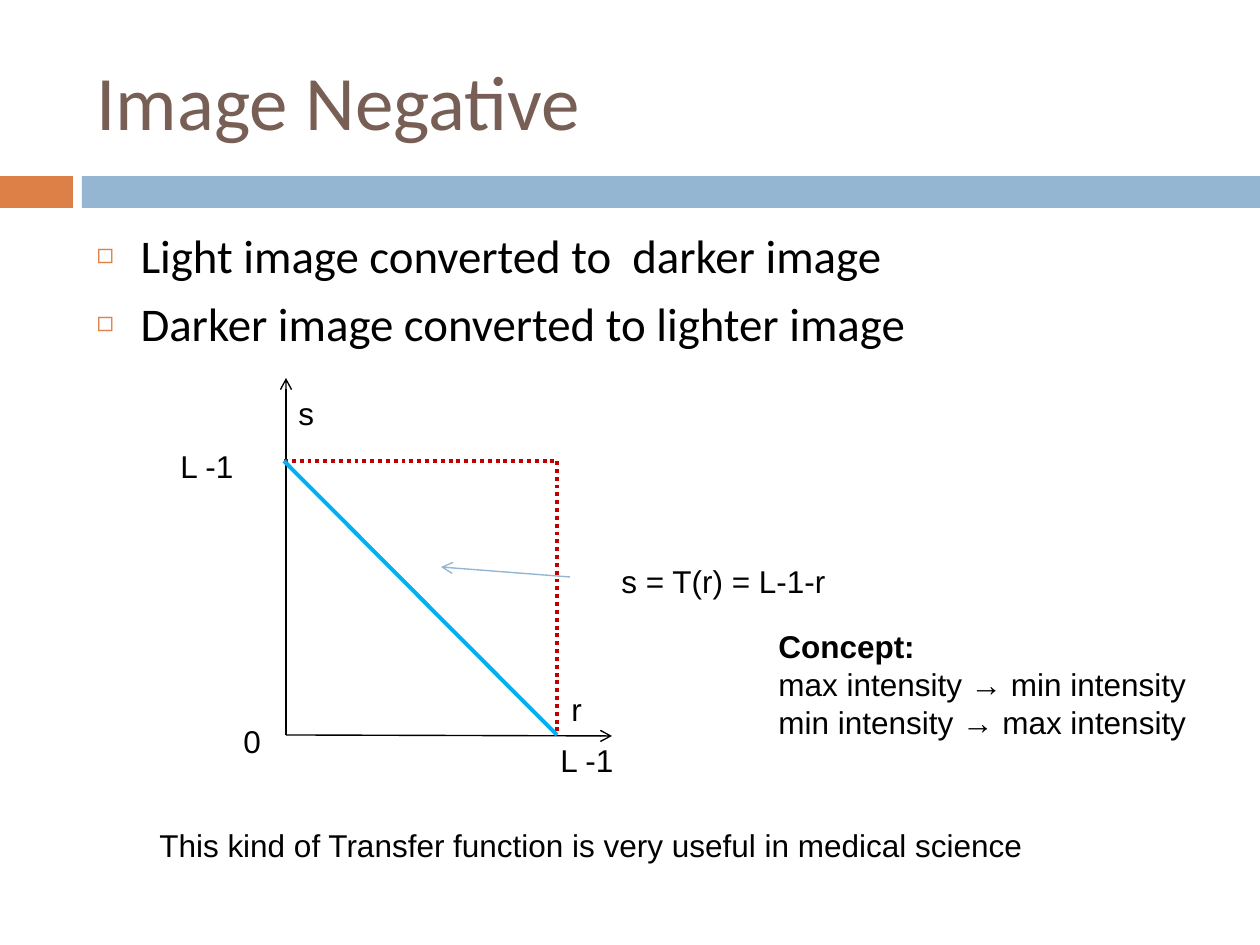
from lxml.etree import SubElement
from pptx import Presentation
from pptx.dml.color import RGBColor
from pptx.enum.dml import MSO_LINE_DASH_STYLE as DASH
from pptx.enum.shapes import MSO_CONNECTOR, MSO_SHAPE
from pptx.enum.text import MSO_ANCHOR, MSO_AUTO_SIZE, PP_ALIGN
from pptx.oxml.ns import qn
from pptx.util import Emu, Inches, Pt

SCALE = Inches(10) / 1260
BLACK, BLUE, ORANGE = "000000", "94B6D2", "DD8047"
RED, CYAN, BROWN = "C00000", "00B0F0", "775F55"


def px(length):
    return Emu(round(length * SCALE))


def color(value):
    return RGBColor.from_string(value)


def add_text(paragraph, text, size, font, value, bold=False):
    paragraph.alignment = PP_ALIGN.LEFT
    run = paragraph.add_run()
    run.text = text
    run.font.size = Pt(size)
    run.font.name = font
    run.font.bold = bold
    run.font.color.rgb = color(value)


def add_band(slide, left, width, value):
    band = slide.shapes.add_shape(
        MSO_SHAPE.RECTANGLE, px(left), px(176), px(width), px(32))
    band.shadow.inherit = False
    band.fill.solid()
    band.fill.fore_color.rgb = color(value)
    band.line.fill.background()


def place(holder, left, top, width, height, anchor):
    holder.left, holder.top = px(left), px(top)
    holder.width, holder.height = px(width), px(height)
    frame = holder.text_frame
    frame.auto_size = MSO_AUTO_SIZE.NONE
    frame.vertical_anchor = anchor
    return frame


def set_bullet(paragraph):
    props = paragraph._p.get_or_add_pPr()
    props.set("marL", str(px(44)))
    props.set("indent", str(-px(44)))
    tint = SubElement(props, qn("a:buClr"))
    SubElement(tint, qn("a:srgbClr"), val=ORANGE)
    SubElement(props, qn("a:buSzPct"), val="60000")
    SubElement(props, qn("a:buChar"), char="◻")


def add_list(frame, items):
    for index, item in enumerate(items):
        paragraph = frame.paragraphs[0] if index == 0 else frame.add_paragraph()
        paragraph.space_before = Pt(7)
        set_bullet(paragraph)
        add_text(paragraph, item, 26.8, "Calibri", BLACK)


def add_label(slide, left, top, width, lines, heading=False):
    box = slide.shapes.add_textbox(
        px(left), px(top), px(width), px(12 + 38 * len(lines)))
    frame = box.text_frame
    frame.word_wrap = True
    for index, line in enumerate(lines):
        paragraph = frame.paragraphs[0] if index == 0 else frame.add_paragraph()
        add_text(paragraph, line, 18, "Arial", BLACK, heading and index == 0)


def add_line(slide, start, end, value, width=0.79, dash=None, arrow=False):
    line = slide.shapes.add_connector(
        MSO_CONNECTOR.STRAIGHT, *map(px, start + end))
    line.line.color.rgb = color(value)
    line.line.width = Pt(width)
    if dash:
        line.line.dash_style = dash
    if arrow:
        SubElement(line.line._get_or_add_ln(), qn("a:tailEnd"), type="arrow")
    SubElement(line._element.spPr, qn("a:effectLst"))


def add_graph(slide):
    origin, top_left = (286, 735), (284, 461)
    top_right, bottom_right = (557, 461), (557, 735)
    add_line(slide, origin, (286, 378), BLACK, arrow=True)
    add_line(slide, origin, (612, 736), BLACK, arrow=True)
    add_line(slide, top_left, top_right, RED, 2.25, DASH.ROUND_DOT)
    add_line(slide, top_right, bottom_right, RED, 2.25, DASH.ROUND_DOT)
    add_line(slide, (570, 577), (441, 567), BLUE, arrow=True)
    add_line(slide, top_left, bottom_right, CYAN, 2.25)

    add_label(slide, 286, 388, 42, ["s"])
    add_label(slide, 559, 684, 42, ["r"])
    add_label(slide, 231, 716, 42, ["0"])
    add_label(slide, 168, 441, 94, ["L -1"])
    add_label(slide, 548, 735, 94, ["L -1"])
    add_label(slide, 609, 556, 336, ["s = T(r) = L-1-r"])


def main():
    deck = Presentation()
    deck.slide_width, deck.slide_height = px(1260), px(945)
    slide = deck.slides.add_slide(deck.slide_layouts[1])
    title, body = slide.placeholders

    add_band(slide, 0, 73, ORANGE)
    add_band(slide, 82, 1178, BLUE)

    heading = place(title, 84, 32, 1124, 136, MSO_ANCHOR.MIDDLE)
    add_text(heading.paragraphs[0], "Image Negative", 44, "Calibri", BROWN)
    add_list(place(body, 84, 220, 1124, 136, MSO_ANCHOR.TOP),
             ["Light image converted to  darker image",
              "Darker image converted to lighter image"])

    add_graph(slide)
    add_label(slide, 147, 820, 955,
              ["This kind of Transfer function is very useful in medical science"])
    add_label(slide, 766, 621, 441,
              ["Concept:", "max intensity → min intensity",
               "min intensity → max intensity"], heading=True)
    deck.save("out.pptx")


if __name__ == "__main__":
    main()
